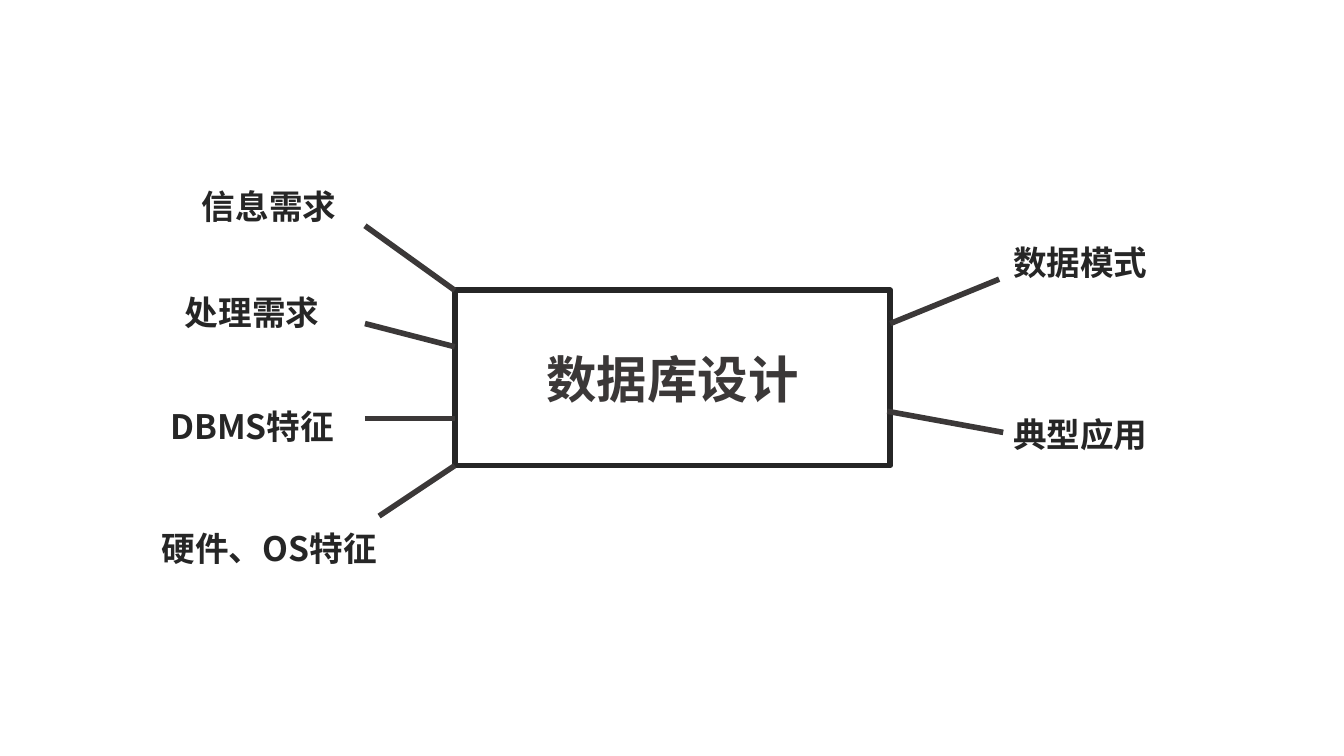
from lxml.etree import SubElement
from pptx import Presentation
from pptx.dml.color import RGBColor
from pptx.enum.shapes import MSO_CONNECTOR, MSO_SHAPE
from pptx.enum.text import MSO_AUTO_SIZE, PP_ALIGN
from pptx.oxml.ns import qn
from pptx.util import Inches, Pt

FONT = "Noto Sans CJK SC"
DARK = "262626"
GRAY = "3B3838"
LINE_WIDTH = 4

BOX_LEFT, BOX_TOP, BOX_WIDTH, BOX_HEIGHT = 4.51, 2.88, 4.32, 1.74
BOX_RIGHT = BOX_LEFT + BOX_WIDTH
BOX_BOTTOM = BOX_TOP + BOX_HEIGHT

TITLE = ("数据库设计", 4.87, 3.4, 3.6, 0.71)
INPUT_WIDTH, OUTPUT_WIDTH, LABEL_HEIGHT = 3.58, 2.15, 0.5
INPUTS = [
    ("信息需求", 0.88, 1.8, (3.62, 2.24), BOX_TOP),
    ("处理需求", 0.71, 2.85, (3.62, 3.21), 3.44),
    ("DBMS特征", 0.71, 3.98, (3.62, 4.15), 4.15),
    ("硬件、OS特征", 0.88, 5.19, (3.76, 5.12), BOX_BOTTOM),
]
OUTPUTS = [
    ("数据模式", 9.64, 2.35, (9.91, 2.77), (BOX_RIGHT, 3.21)),
    ("典型应用", 9.64, 4.06, (9.95, 4.29), (8.8, 4.08)),
]


def color(value):
    return RGBColor.from_string(value)


def add_text(slide, text, left, top, width, height, size=24, fill=DARK):
    shape = slide.shapes.add_textbox(
        Inches(left), Inches(top), Inches(width), Inches(height))
    frame = shape.text_frame
    frame.word_wrap = True
    frame.auto_size = MSO_AUTO_SIZE.SHAPE_TO_FIT_TEXT
    paragraph = frame.paragraphs[0]
    paragraph.alignment = PP_ALIGN.CENTER
    run = paragraph.add_run()
    run.text = text
    run.font.size = Pt(size)
    run.font.bold = True
    run.font.name = FONT
    run.font.color.rgb = color(fill)
    SubElement(run.font._element, qn("a:ea"), typeface=FONT)


def add_line(slide, start, end):
    points = [Inches(value) for value in (*start, *end)]
    connector = slide.shapes.add_connector(MSO_CONNECTOR.STRAIGHT, *points)
    connector.line.color.rgb = color(GRAY)
    connector.line.width = Pt(LINE_WIDTH)
    SubElement(connector._element.spPr, qn("a:effectLst"))


def add_box(slide):
    shape = slide.shapes.add_shape(
        MSO_SHAPE.RECTANGLE, Inches(BOX_LEFT), Inches(BOX_TOP),
        Inches(BOX_WIDTH), Inches(BOX_HEIGHT))
    shape.shadow.inherit = False
    shape.fill.background()
    shape.line.color.rgb = color(DARK)
    shape.line.width = Pt(LINE_WIDTH)


def main():
    presentation = Presentation()
    presentation.slide_width = Inches(13.33)
    presentation.slide_height = Inches(7.5)
    slide = presentation.slides.add_slide(presentation.slide_layouts[6])

    add_box(slide)
    for text, left, top, start, end_y in INPUTS:
        add_line(slide, start, (BOX_LEFT, end_y))
        add_text(slide, text, left, top, INPUT_WIDTH, LABEL_HEIGHT)
    for text, left, top, start, end in OUTPUTS:
        add_line(slide, start, end)
        add_text(slide, text, left, top, OUTPUT_WIDTH, LABEL_HEIGHT)
    add_text(slide, *TITLE, size=36, fill=GRAY)

    presentation.save("out.pptx")


if __name__ == "__main__":
    main()
